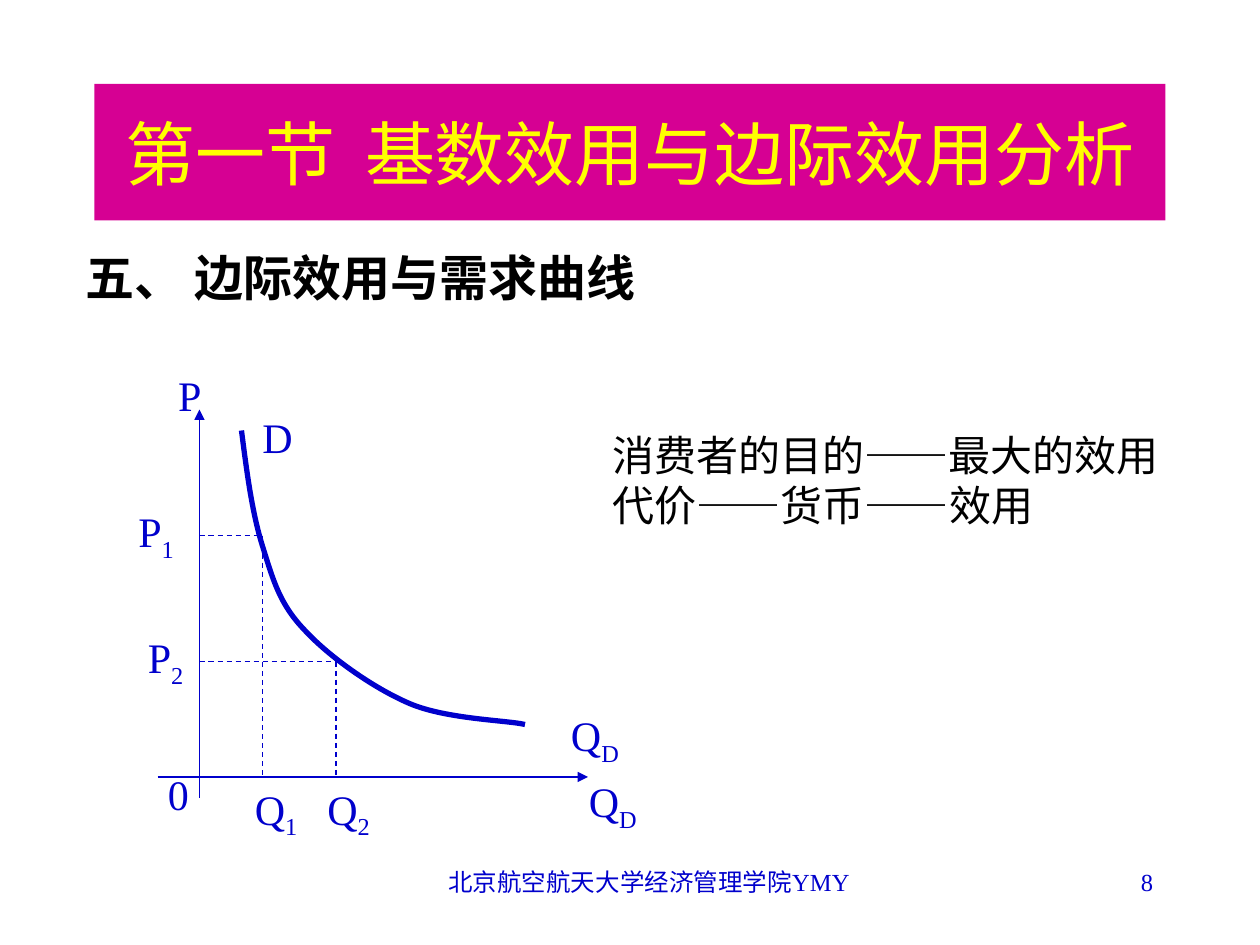
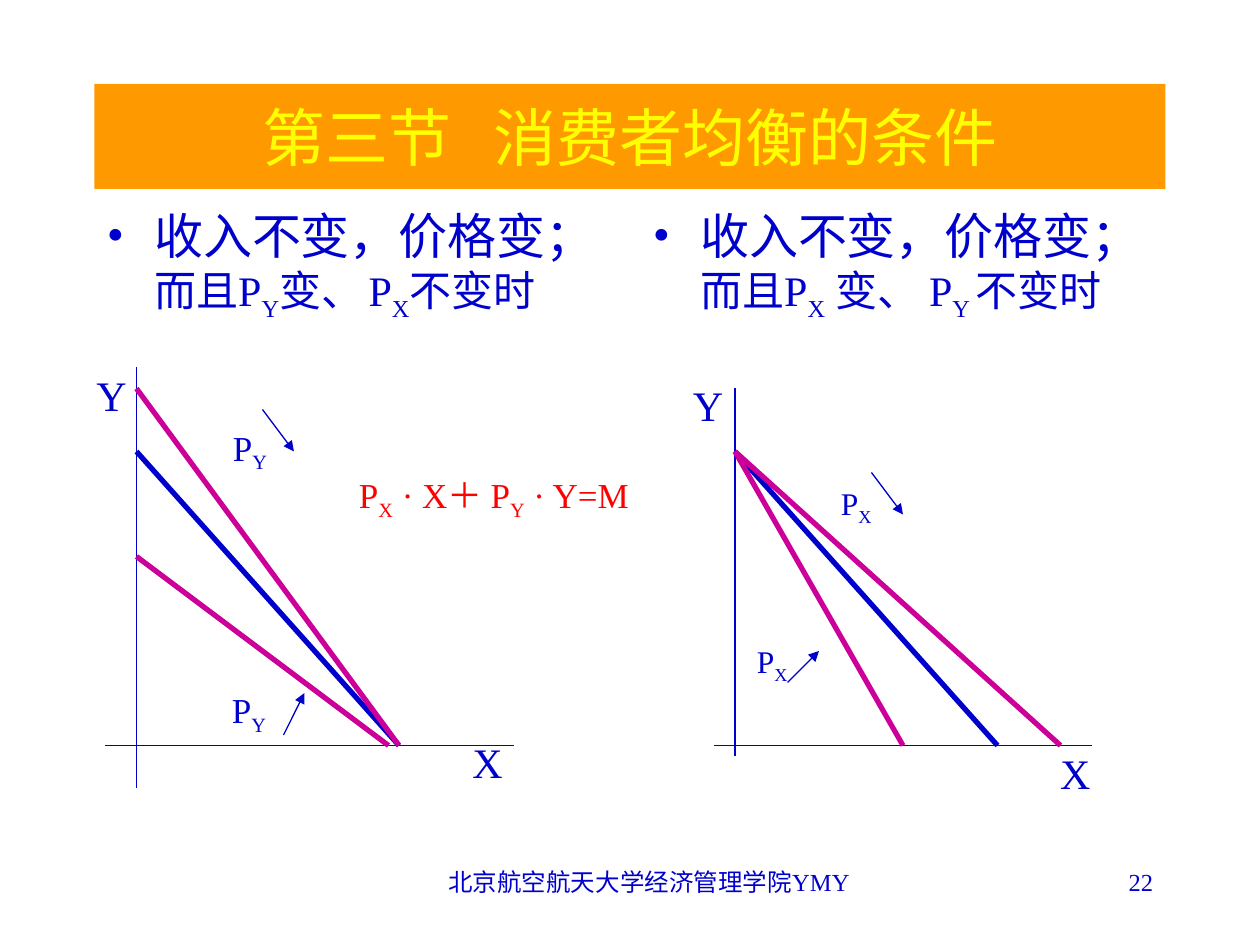
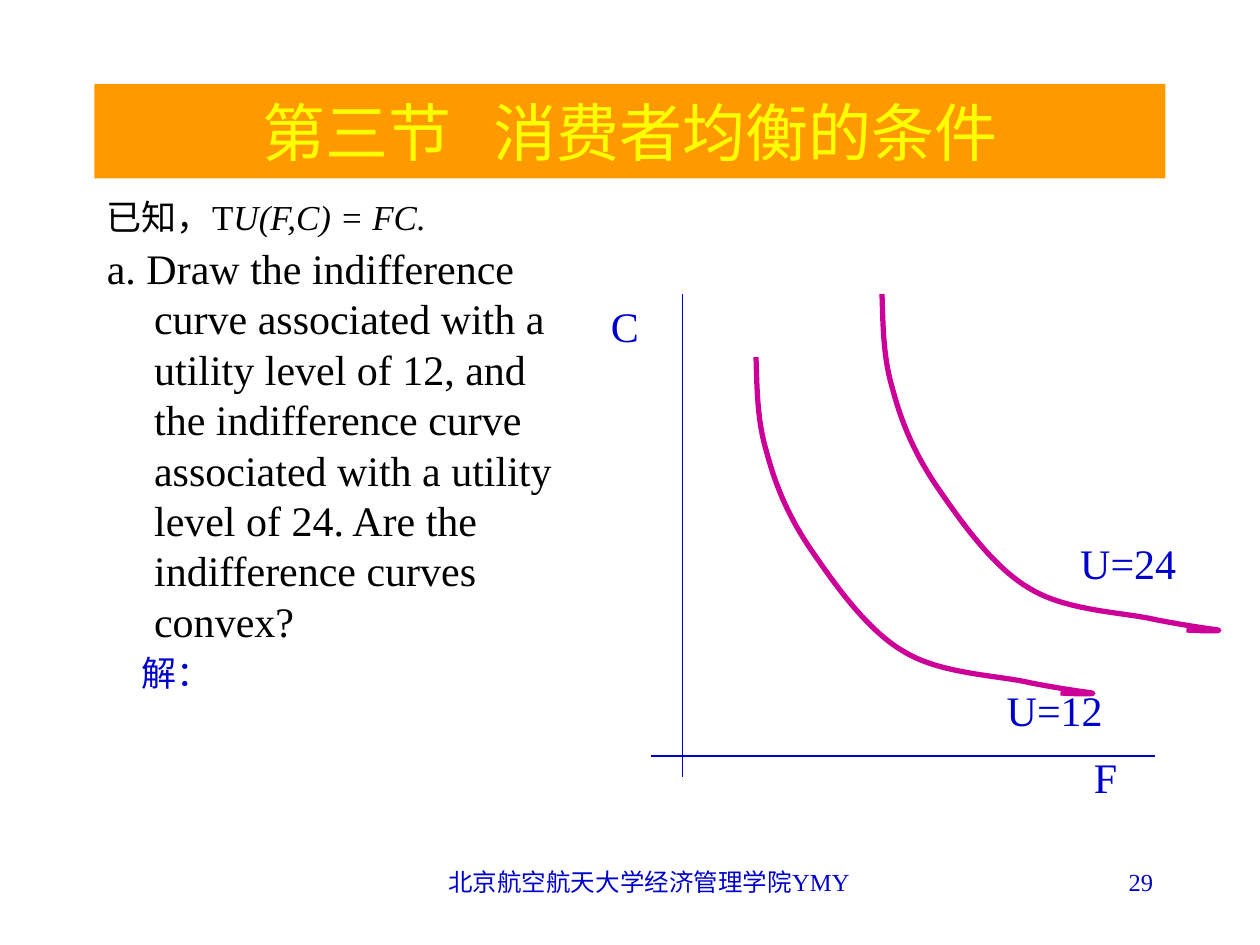
from lxml import etree
from pptx import Presentation
from pptx import util as u
from pptx.dml.color import RGBColor
from pptx.enum import dml, shapes, text
from pptx.oxml.ns import qn

PX = 7620
BLUE, MAGENTA, BLACK, YELLOW, RED = "0000CC", "CC0099", "000000", "FFFF00", "FF0000"
PINK_BAND, ORANGE_BAND = "D60093", "FF9900"
FONT = "Times New Roman"
ink = RGBColor.from_string


def write(box, paragraphs, wrap=True, align=text.PP_ALIGN.LEFT, hanging=False,
          bullet=None, space=0, **look):
    frame = box.text_frame
    frame.word_wrap = wrap
    if not wrap:
        frame.auto_size = text.MSO_AUTO_SIZE.SHAPE_TO_FIT_TEXT
    for index, spans in enumerate(paragraphs):
        para = frame.add_paragraph() if index else frame.paragraphs[0]
        para.alignment = align
        if index:
            para.space_before = u.Pt(space)
        props = para._p.get_or_add_pPr()
        if hanging:
            props.set("marL", str(45 * PX))
            props.set("indent", str(-45 * PX))
        if bullet:
            tint = etree.SubElement(props, qn("a:buClr"))
            etree.SubElement(tint, qn("a:srgbClr")).set("val", look["color"])
            etree.SubElement(props, qn("a:buFont")).set("typeface", FONT)
            etree.SubElement(props, qn("a:buChar")).set("char", bullet)
        for words, change in spans:
            style = {"name": FONT, "size": 24, "color": BLUE, **look, **change}
            color, size, spread = style.pop("color"), style.pop("size"), style.pop("spread", 0)
            for part, piece in enumerate(words.split("|")):
                if not piece:
                    continue
                span = para.add_run()
                span.text = piece
                span.font.size = u.Pt(size)
                span.font.color.rgb = ink(color)
                for key, value in style.items():
                    setattr(span.font, key, value)
                if part % 2:
                    span.font._element.set("baseline", "-25000")
                if spread:
                    span.font._element.set("spc", str(spread * 100))


def draw_line(page, ends, color=BLUE, width=0.75, dashed=False, arrow=False):
    link = page.shapes.add_connector(shapes.MSO_CONNECTOR.STRAIGHT, *[n * PX for n in ends])
    link.line.color.rgb = ink(color)
    link.line.width = u.Pt(width)
    if dashed:
        link.line.dash_style = dml.MSO_LINE.DASH
    stroke = link.line._get_or_add_ln()
    etree.SubElement(stroke, qn("a:round"))
    if arrow:
        etree.SubElement(stroke, qn("a:tailEnd")).set("type", "triangle")
    etree.SubElement(link._element.spPr, qn("a:effectLst"))


deck = Presentation()
deck.slide_width, deck.slide_height = 1200 * PX, 900 * PX

equilibrium = ("第三节", "消费者均衡的条件")
headers = [
    (("第一节", "基数效用与边际效用分析"), 40, 8, 130, PINK_BAND, "8"),
    (equilibrium, 36, 16, 100, ORANGE_BAND, "22"),
    (equilibrium, 36, 16, 90, ORANGE_BAND, "29"),
]
pages = []
for (section, topic), size, gap, height, band_color, number in headers:
    page = deck.slides.add_slide(deck.slide_layouts[6])
    pages.append(page)
    band = page.shapes.add_shape(shapes.MSO_SHAPE.RECTANGLE, 90 * PX, 80 * PX, 1020 * PX, height * PX)
    band.shadow.inherit = False
    band.fill.solid()
    band.fill.fore_color.rgb = ink(band_color)
    band.line.fill.background()
    band.text_frame.vertical_anchor = text.MSO_ANCHOR.MIDDLE
    write(band, [[(section, {}), (" ", {"spread": gap}), (topic, {})]],
          align=text.PP_ALIGN.CENTER, size=size, color=YELLOW)
    footers = [
        ("北京航空航天大学经济管理学院YMY", (410, 820, 416, 36), text.PP_ALIGN.CENTER),
        (number, (860, 820, 250, 60), text.PP_ALIGN.RIGHT),
    ]
    for words, area, align in footers:
        box = page.shapes.add_textbox(*[n * PX for n in area])
        write(box, [[(words, {})]], align=align, size=14)

demand_page, budget_page, utility_page = pages

price_change = ("收入不变，价格变；", {"size": 28})
bodies = [
    (demand_page, (70, 230, 570, 570), [[("五、 边际效用与需求曲线", {})]],
     {"size": 28, "bold": True, "color": BLACK, "hanging": True}),
    (demand_page, (572, 403, 590, 156),
     [[("消费者的目的——最大的效用", {})], [("代价——货币——效用", {})]], {"color": BLACK}),
    (budget_page, (90, 190, 500, 610), [[price_change, ("而且P|Y|变、| |P|X|不变时", {})]],
     {"color": BLUE, "hanging": True, "bullet": "•"}),
    (budget_page, (610, 190, 520, 630), [[price_change, ("而且P|X| 变、 P|Y |不变时", {})]],
     {"color": BLUE, "hanging": True, "bullet": "•"}),
    (budget_page, (330, 445, 300, 58), [[("P|X| · X＋ P|Y| · Y=M", {})]],
     {"size": 20, "color": RED}),
    (utility_page, (90, 180, 480, 620), [
        [("已知，T", {"size": 20}), ("U(F,C) = FC.", {"size": 20, "italic": True})],
        [("a. Draw the indifference curve associated with a utility level of 12, "
          "and the indifference curve associated with a utility level of 24. "
          "Are the indifference curves convex?", {})],
    ], {"color": BLACK, "hanging": True, "space": 3}),
]
for page, area, paragraphs, look in bodies:
    box = page.shapes.add_textbox(*[n * PX for n in area])
    write(box, paragraphs, **look)

axes = [
    (demand_page, (190, 760, 190, 390), True),
    (demand_page, (150, 740, 560, 740), True),
    (budget_page, (130, 350, 130, 750), False),
    (budget_page, (100, 710, 490, 710), False),
    (budget_page, (700, 370, 700, 720), False),
    (budget_page, (680, 710, 1040, 710), False),
    (utility_page, (650, 280, 650, 740), False),
    (utility_page, (620, 720, 1100, 720), False),
]
for page, ends, arrow in axes:
    draw_line(page, ends, arrow=arrow)

for quantity, price in [(250, 510), (320, 630)]:
    draw_line(demand_page, (190, price, quantity, price), dashed=True)
    draw_line(demand_page, (quantity, price, quantity, 740), dashed=True)

budget_lines = [
    (130, 430, 380, BLUE), (700, 430, 950, BLUE),
    (130, 370, 380, MAGENTA), (130, 530, 370, MAGENTA),
    (700, 430, 860, MAGENTA), (700, 430, 1010, MAGENTA),
]
for left, top, right, color in budget_lines:
    draw_line(budget_page, (left, top, right, 710), color, 3)

for ends in [(270, 700, 290, 660), (250, 390, 280, 430),
             (830, 450, 860, 490), (750, 650, 780, 620)]:
    draw_line(budget_page, ends, arrow=True)

demand = [(230, 410), (235, 449), (240, 488), (250, 520), (260, 552), (266, 575), (290, 600),
          (313, 625), (355, 655), (390, 670), (425, 685), (484, 686), (500, 690)]
utility = [(720, 340), (721, 370), (721, 400), (730, 430), (738, 460), (749, 488), (770, 520),
           (792, 552), (824, 599), (860, 620), (895, 642), (950, 643), (980, 650),
           (1010, 656), (1034, 659), (1040, 660), (1045, 661), (1027, 661), (1010, 660)]
higher_utility = [(x + 120, y - 60) for x, y in utility]
for page, knots, color in [(demand_page, demand, BLUE), (utility_page, utility, MAGENTA),
                           (utility_page, higher_utility, MAGENTA)]:
    builder = page.shapes.build_freeform(*knots[0], scale=PX)
    builder.add_line_segments(knots[1:], close=False)
    curve = builder.convert_to_shape()
    segments = list(curve._element.iter(qn("a:lnTo")))
    for start in range(0, len(segments), 3):
        bend = etree.Element(qn("a:cubicBezTo"))
        segments[start].addprevious(bend)
        for segment in segments[start:start + 3]:
            bend.append(segment[0])
            segment.getparent().remove(segment)
    curve.shadow.inherit = False
    curve.fill.background()
    curve.line.color.rgb = ink(color)
    curve.line.width = u.Pt(3)
    etree.SubElement(curve.line._get_or_add_ln(), qn("a:round"))

labels = [
    (demand_page, "D", 24, (238, 386, 53, 60)),
    (demand_page, "P", 24, (158, 346, 46, 60)),
    (demand_page, "Q|D", 24, (549, 733, 70, 67)),
    (demand_page, "Q|D", 24, (532, 670, 70, 67)),
    (demand_page, "P|1", 24, (120, 476, 58, 67)),
    (demand_page, "P|2", 24, (129, 596, 58, 67)),
    (demand_page, "Q|1", 24, (231, 740, 65, 67)),
    (demand_page, "Q|2", 24, (300, 740, 65, 67)),
    (demand_page, "0", 24, (148, 726, 43, 60)),
    (budget_page, "X", 24, (438, 696, 53, 60)),
    (budget_page, "Y", 24, (80, 346, 53, 60)),
    (budget_page, "X", 24, (998, 706, 53, 60)),
    (budget_page, "Y", 24, (648, 356, 53, 60)),
    (budget_page, "P|Y", 20, (209, 650, 59, 103)),
    (budget_page, "P|Y", 20, (210, 400, 59, 103)),
    (budget_page, "P|X", 18, (789, 455, 53, 53)),
    (budget_page, "P|X", 18, (709, 606, 53, 53)),
    (utility_page, "F", 24, (1030, 710, 46, 60)),
    (utility_page, "C", 24, (570, 280, 50, 60)),
    (utility_page, "U=12", 24, (947, 646, 118, 60)),
    (utility_page, "U=24", 24, (1017, 506, 118, 60)),
    (utility_page, "解：", 20, (123, 615, 90, 53)),
]
for page, words, size, area in labels:
    box = page.shapes.add_textbox(*[n * PX for n in area])
    write(box, [[(words, {})]], wrap=False, size=size)

deck.save("out.pptx")
